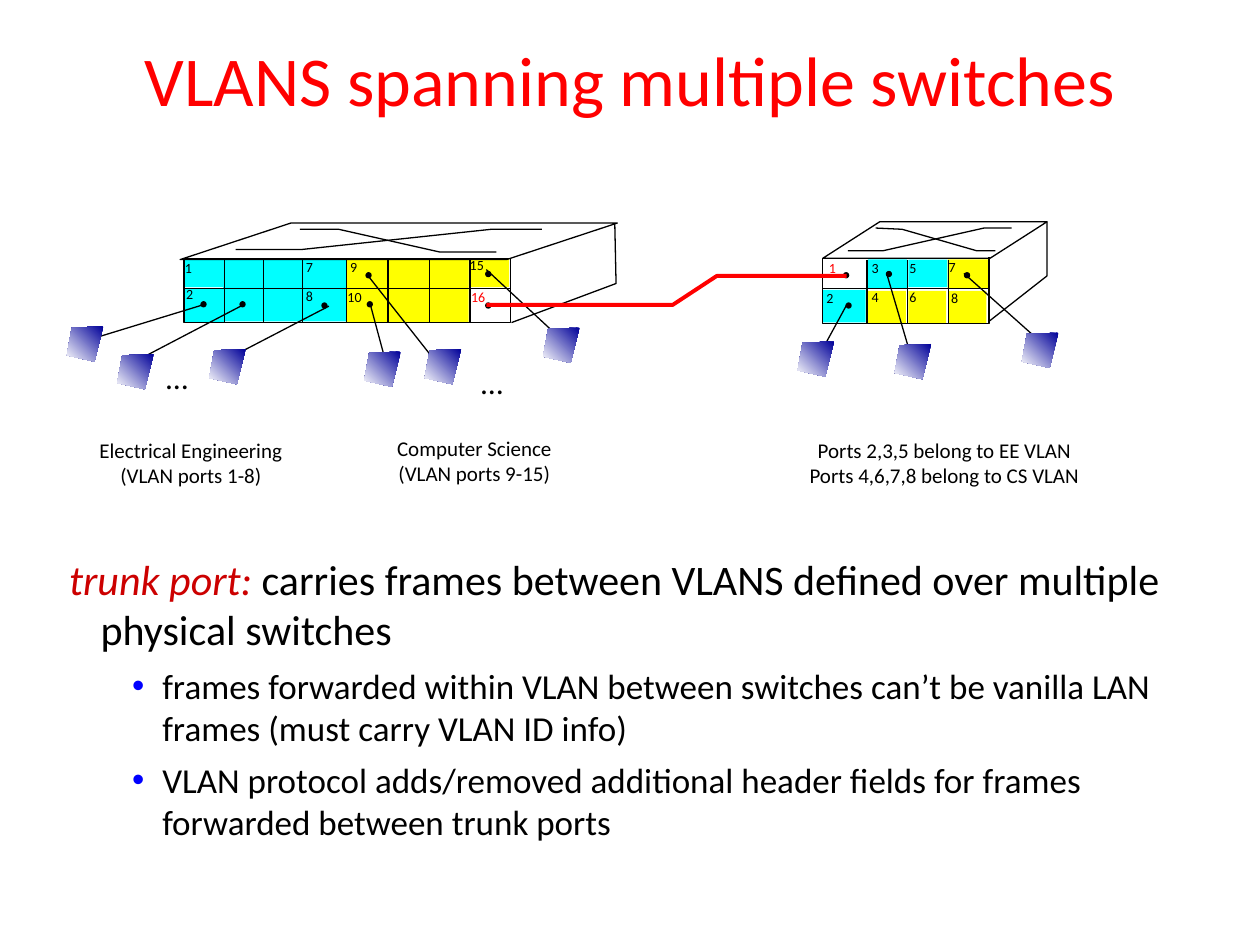
"""Build a slide on VLANs that span two switches joined by a trunk link."""
import pptx
import pptx.util
import pptx.dml.color
import pptx.enum.shapes
import pptx.enum.text
import lxml.etree
from pptx.oxml.ns import qn

COLORS = {"black": "000000", "white": "FFFFFF", "red": "FF0000", "term": "CC0000",
          "bullet": "0000FF", "ee": "00FFFF", "cs": "FFFF00", "host": "000099"}

TITLE = "VLANS spanning multiple switches"
TERM = "trunk port: "
DEFINITION = "carries frames between VLANS defined over multiple physical switches"
DETAILS = [
    "frames forwarded within VLAN between switches can’t be vanilla LAN frames (must carry VLAN ID info)",
    "VLAN protocol adds/removed additional header fields for frames forwarded between trunk ports",
]

SWITCHES = [
    {
        "cells": [("ee", 1.47, 2.06, .3, .22), ("ee", 1.46, 2.29, .32, .27),
                  ("cs", 3.72, 2.05, .32, .23), ("cs", 2.75, 2.06, .97, .5),
                  ("ee", 1.77, 2.06, .98, .49)],
        "front": [(1.46, 2.05), (1.46, 2.56), (4.05, 2.56), (4.05, 2.05), (1.46, 2.05)],
        "dividers": [1.78, 2.09, 2.4, 2.75, 3.08, 3.41, 3.73],
        "lid": (1.43, 1.77, 3.47, .29, 3.03),
        "edges": [[(4.06, 2.56), (4.89, 2.25), (4.88, 1.77)],
                  [(1.87, 1.98), (2.4, 1.98), (3.9, 1.82), (4.3, 1.82)],
                  [(2.38, 1.82), (2.69, 1.82), (3.49, 2), (3.94, 2)]],
    },
    {
        "cells": [("cs", 7.21, 2.31, .3, .26), ("cs", 7.53, 2.31, .3, .26),
                  ("cs", 6.89, 2.31, .3, .26), ("ee", 6.89, 2.06, .31, .23),
                  ("ee", 6.53, 2.3, .34, .26), ("cs", 7.52, 2.06, .32, .23),
                  ("ee", 7.21, 2.06, .31, .22)],
        "front": [(6.53, 2.05), (6.53, 2.57), (7.85, 2.57), (7.85, 2.04)],
        "dividers": [6.88, 7.2, 7.53],
        "lid": (6.53, 1.76, 1.78, .29, 1.56),
        "edges": [[(6.73, 1.99), (7.01, 1.99), (7.81, 1.81), (8.03, 1.81)],
                  [(6.95, 1.81), (7.16, 1.82), (7.75, 1.99), (7.9, 1.99)],
                  [(8.31, 1.76), (8.31, 2.19), (7.85, 2.55)]],
    },
]
CELL_TOP, CELL_MIDDLE, CELL_BOTTOM = 2.06, 2.29, 2.56

CABLES = [((1.61, 2.42), (.63, 2.72)), ((1.93, 2.42), (1.05, 2.88)),
          ((2.61, 2.43), (1.84, 2.83)), ((2.94, 2.42), (3.05, 2.83)),
          ((2.93, 2.2), (3.45, 2.86)), ((3.86, 2.14), (4.43, 2.67)),
          ((6.72, 2.42), (6.54, 2.75)), ((7.04, 2.18), (7.24, 2.86)),
          ((7.65, 2.17), (8.21, 2.67))]
PLUGS = [(1.59, 2.39), (1.9, 2.39), (2.55, 2.4), (2.91, 2.39), (2.9, 2.16), (3.85, 2.15),
         (6.71, 2.4), (7.65, 2.16), (7.03, 2.15), (3.85, 2.4), (6.69, 2.16)]
PLUG_SIZE = .05
TRUNK = [(3.86, 2.42), (5.34, 2.42), (5.69, 2.19), (6.72, 2.19)]
HOSTS = [(.53, 2.59), (.93, 2.81), (1.66, 2.77), (2.89, 2.79), (3.37, 2.77),
         (4.31, 2.6), (6.33, 2.71), (8.11, 2.64), (7.1, 2.73)]
HOST_OUTLINE = [(.29, 0), (.04, .01), (0, .23), (.22, .28), (.29, 0)]

PORT_LABELS = [("1", 1.37, 2.01), ("2", 1.38, 2.22), ("7", 2.33, 2), ("8", 2.33, 2.23),
               ("9", 2.68, 2), ("10", 2.66, 2.24), ("15", 3.63, 1.99),
               ("2", 6.46, 2.25), ("3", 6.82, 2.01), ("4", 6.82, 2.24), ("5", 7.12, 2.01),
               ("6", 7.12, 2.24), ("7", 7.43, 2), ("8", 7.45, 2.25)]
TRUNK_LABELS = [("16", 3.64, 2.24), ("1", 6.48, 2.01)]
ELLIPSES = [(3.72, 2.83), (1.22, 2.79)]
CAPTIONS = [
    (["Electrical Engineering", "(VLAN ports 1-8)"], .69, 3.42, 1.65),
    (["Computer Science", "(VLAN ports 9-15)"], 2.98, 3.41, 1.57),
    (["Ports 2,3,5 belong to EE VLAN", "Ports 4,6,7,8 belong to CS VLAN"], 6.27, 3.42, 2.45),
]

SHAPES = pptx.enum.shapes.MSO_SHAPE
ALIGN = pptx.enum.text.PP_ALIGN


def length(inches):
    return pptx.util.Cm(inches * 2.54)


def lengths(values):
    return [length(value) for value in values]


def rgb(color):
    return pptx.dml.color.RGBColor.from_string(COLORS[color])


def write(paragraph, text, size, color="black", italic=False):
    run = paragraph.add_run()
    run.text = text
    formats = {"name": "Calibri", "size": pptx.util.Pt(size), "italic": italic}
    for key, value in formats.items():
        setattr(run.font, key, value)
    run.font.color.rgb = rgb(color)


def add_label(slide, lines, box, size, color="black", align=ALIGN.LEFT):
    frame = slide.shapes.add_textbox(*lengths(box)).text_frame
    frame.word_wrap = False
    frame.auto_size = pptx.enum.text.MSO_AUTO_SIZE.SHAPE_TO_FIT_TEXT
    for index, line in enumerate(lines):
        paragraph = frame.add_paragraph() if index else frame.paragraphs[0]
        paragraph.alignment = align
        write(paragraph, line, size, color)


def paint(shape, fill=None, line=None, width=.75):
    shape.shadow.inherit = False
    if fill:
        shape.fill.solid()
        shape.fill.fore_color.rgb = rgb(fill)
    else:
        shape.fill.background()
    if line:
        shape.line.color.rgb = rgb(line)
        shape.line.width = pptx.util.Pt(width)
    else:
        shape.line.fill.background()


def add_preset(slide, kind, box, **colors):
    shape = slide.shapes.add_shape(kind, *lengths(box))
    paint(shape, **colors)
    return shape


def add_outline(slide, points, close=False, **colors):
    start, *rest = [lengths(point) for point in points]
    builder = slide.shapes.build_freeform(*start)
    builder.add_line_segments(rest, close=close)
    outline = builder.convert_to_shape()
    paint(outline, **colors)
    return outline


def add_line(slide, start, end):
    line = slide.shapes.add_connector(
        pptx.enum.shapes.MSO_CONNECTOR.STRAIGHT, *lengths(start + end))
    line.line.color.rgb = rgb("black")
    line.line.width = pptx.util.Pt(.75)
    lxml.etree.SubElement(line._element.spPr, qn("a:effectLst"))


def add_switch(slide, switch):
    for vlan, *box in switch["cells"]:
        add_preset(slide, SHAPES.RECTANGLE, box, fill=vlan)
    *lid_box, slant = switch["lid"]
    lid = add_preset(slide, SHAPES.PARALLELOGRAM, lid_box, fill="white", line="black")
    lid.adjustments[0] = slant
    for points in [switch["front"]] + switch["edges"]:
        add_outline(slide, points, line="black")
    for x in switch["dividers"]:
        add_line(slide, (x, CELL_TOP), (x, CELL_BOTTOM))
    left, right = switch["front"][0][0], switch["front"][2][0]
    add_line(slide, (left, CELL_MIDDLE), (right, CELL_MIDDLE))


def add_host(slide, x, y):
    points = [(x + dx, y + dy) for dx, dy in HOST_OUTLINE]
    host = add_outline(slide, points, close=True)
    host.fill.gradient()
    host.fill.gradient_angle = 225
    for stop, color, position in zip(host.fill.gradient_stops, ("host", "white"), (0, 1)):
        stop.color.rgb = rgb(color)
        stop.position = position


def indent(paragraph, margin, hanging):
    properties = paragraph._p.get_or_add_pPr()
    properties.set("marL", str(length(margin)))
    properties.set("indent", str(-length(hanging)))
    return properties


def add_body(slide):
    frame = slide.shapes.add_textbox(*lengths((.45, 4.34, 9.07, 2.94))).text_frame
    frame.word_wrap = True
    definition = frame.paragraphs[0]
    indent(definition, .25, .25)
    write(definition, TERM, 24, "term", italic=True)
    write(definition, DEFINITION, 24)
    for detail in DETAILS:
        paragraph = frame.add_paragraph()
        properties = indent(paragraph, .74, .24)
        bullet_color = lxml.etree.SubElement(properties, qn("a:buClr"))
        lxml.etree.SubElement(bullet_color, qn("a:srgbClr"), val=COLORS["bullet"])
        lxml.etree.SubElement(properties, qn("a:buFont"), typeface="Arial")
        lxml.etree.SubElement(properties, qn("a:buChar"), char="•")
        paragraph.space_before = pptx.util.Pt(6)
        write(paragraph, detail, 20)


def add_title(slide):
    title = slide.shapes.title
    for side, value in zip(("left", "top", "width", "height"), lengths((0, 0, 10, 1.25))):
        setattr(title, side, value)
    title.text_frame.vertical_anchor = pptx.enum.text.MSO_ANCHOR.MIDDLE
    heading = title.text_frame.paragraphs[0]
    heading.alignment = ALIGN.CENTER
    write(heading, TITLE, 40, "red")


def main():
    deck = pptx.Presentation()
    deck.slide_width, deck.slide_height = lengths((10, 7.5))
    slide = deck.slides.add_slide(deck.slide_layouts[5])
    add_title(slide)
    add_body(slide)
    for switch in SWITCHES:
        add_switch(slide, switch)
    for start, end in CABLES:
        add_line(slide, start, end)
    for x, y in PLUGS:
        add_preset(slide, SHAPES.OVAL, (x, y, PLUG_SIZE, PLUG_SIZE), fill="black")
    for labels, color in ((PORT_LABELS, "black"), (TRUNK_LABELS, "red")):
        for text, x, y in labels:
            add_label(slide, [text], (x, y, .19 + .07 * len(text), .23), 8, color)
    for x, y in ELLIPSES:
        add_label(slide, ["…"], (x, y, .45, .4), 18)
    for lines, x, y, width in CAPTIONS:
        add_label(slide, lines, (x, y, width, .5), 12, align=ALIGN.CENTER)
    add_outline(slide, TRUNK, line="red", width=2.25)
    for x, y in HOSTS:
        add_host(slide, x, y)
    deck.save("out.pptx")


if __name__ == "__main__":
    main()
